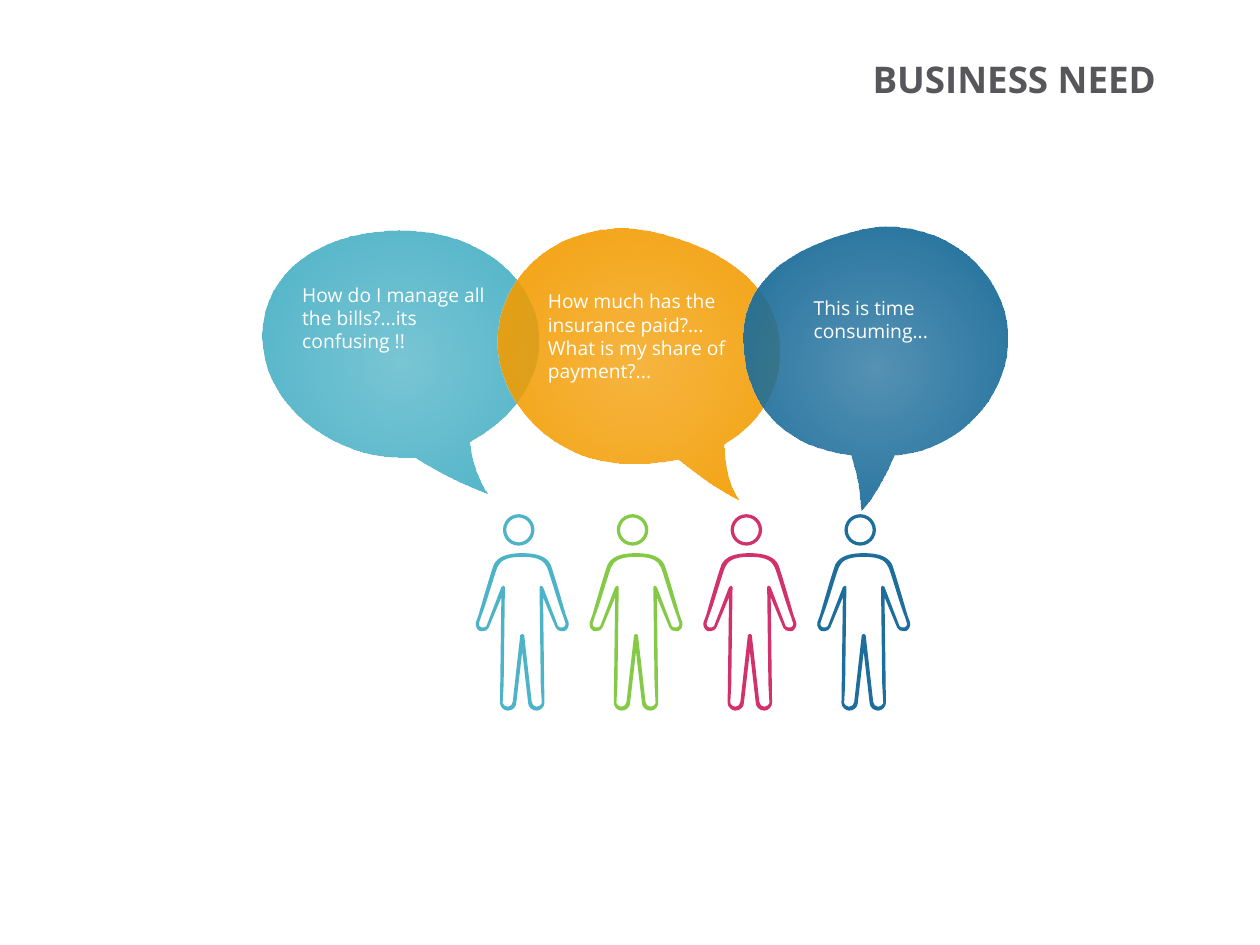
import math
from dataclasses import dataclass

from lxml import etree
from pptx import Presentation
from pptx import util as u
from pptx.dml.color import RGBColor
from pptx.enum import shapes, text
from pptx.oxml import parse_xml
from pptx.oxml.ns import nsdecls, qn


@dataclass(frozen=True)
class Theme:
    """Colours, font and type sizes of the slide."""
    teal: str = "4DB3C7"
    orange: str = "F49D00"
    blue: str = "1D6E9B"
    green: str = "85CA46"
    pink: str = "D2326B"
    white: str = "FFFFFF"
    grey: str = "57565A"
    font: str = "Open Sans"
    quote_size: int = 11
    title_size: int = 21


THEME = Theme()

# Outlines: two numbers are a straight step, six numbers are a Bézier curve.
BUBBLES = [
    dict(
        color=THEME.teal, edge_opacity=100, tilt=9.1, center=(227.2, 200.9),
        quote="How do I manage all the bills?...its confusing !!",
        quote_box=(165.6, 158.4, 128.2, 74.2),
        outline=[
            (267.8, 252.7),
            (288, 241.9, 303.1, 224.6, 306.7, 203.8),
            (312.5, 168.5, 283, 136.1, 237.6, 132.5),
            (195.1, 128.9, 155.5, 148.3, 150.5, 183.6),
            (144.7, 218.9, 174.2, 253.4, 217.4, 260.6),
            (223.9, 261.4, 230.4, 261.4, 236.9, 261.4),
            (247, 267.8, 262.8, 276.5, 278.6, 282.2),
            (272.9, 275, 269.3, 264.2, 267.8, 252.7),
        ],
    ),
    dict(
        color=THEME.orange, edge_opacity=95, tilt=9.8, center=(364.7, 201.2),
        quote="How much has the insurance paid?...\nWhat is my share of payment?...",
        quote_box=(306, 162, 126.7, 79.9),
        outline=[
            (413.3, 253.4),
            (432.7, 241.9, 443.5, 224.6, 445, 205.2),
            (447.1, 173.5, 427, 146.2, 375.8, 133.2),
            (329, 121.7, 290.9, 149, 285.1, 185),
            (278.6, 221, 308.9, 260.6, 353.5, 264.2),
            (365.8, 265, 377.3, 264.2, 387.4, 262.1),
            (398.2, 270.7, 411.8, 280.8, 421.9, 285.1),
            (416.2, 277.2, 413.3, 264.2, 413.3, 253.4),
        ],
    ),
    dict(
        color=THEME.blue, edge_opacity=100, tilt=-8.9, center=(502.6, 207.7),
        quote="This is time consuming...",
        quote_box=(457.9, 165.6, 98.6, 52.6),
        outline=[
            (426.2, 205.9),
            (420.5, 169.9, 437.8, 145.4, 491, 131.8),
            (531.4, 121.7, 569.5, 149, 575.3, 184.3),
            (581, 219.6, 552.2, 257, 511.2, 259.9),
            (506.2, 272.2, 499.7, 283.7, 492.5, 291.6),
            (491.8, 280.8, 490.3, 271.4, 486.7, 259.9),
            (451.4, 255.6, 430.6, 235.4, 426.2, 205.9),
        ],
    ),
]

# Right half of the body, from the legs up to the neck, measured from its axis and top.
BODY_OUTER = [
    (0, 56.2), (3.4, 85.7),
    (3.4, 87.8, 5.5, 90, 8.3, 90), (10.5, 90, 12.7, 87.8, 12.7, 85.6),
    (11.9, 25.2), (19.1, 42.5),
    (19.8, 43.9, 20.9, 44.6, 22.7, 44.6), (24.1, 44.6),
    (25.6, 43.9, 27, 41.8, 26.5, 39.6), (24.9, 35.3),
    (22.7, 27.4, 17.6, 10.1, 16.2, 6.5), (14, 2.2, 9, 0, 0, 0),
]
BODY_INNER = [
    (0, 46.1), (1.1, 46.8), (5.4, 85),
    (5.4, 86.4, 6.8, 87.8, 8.3, 87.8), (9.7, 87.8, 11.2, 86.4, 11.2, 85.7),
    (10.6, 75), (9.9, 19.4),
    (9.9, 18.4, 11.3, 18.2, 11.9, 19.4), (20.5, 41.8),
    (21.2, 42.5, 22, 42.5, 23.2, 42.5), (24.3, 42.5, 25, 41, 24.8, 40.3),
    (23.4, 36),
    (20.5, 28.8, 15.5, 10.8, 14.1, 7.9), (12.6, 5, 10.4, 2.1, 0, 2.1),
]
PEOPLE = [THEME.teal, THEME.green, THEME.pink, THEME.blue]
FIRST_AXIS, PERSON_PITCH, BODY_TOP = 298.4, 65.05, 316.1
HEAD_SIZE, HEAD_TOP, HEAD_SHIFT, HEAD_RING = 18, 293.8, -2, 0.105

TITLE = "BUSINESS NEED"
TITLE_BOX = (461.5, 14.4, 236.2, 64.8)


def pairs(part):
    """Split one step of an outline into its points."""
    return list(zip(part[::2], part[1::2]))


def trace(outline, steps=12):
    """List points along an outline, to measure its extent."""
    points = [outline[0]]
    for part in outline[1:]:
        nodes = [points[-1]] + pairs(part)
        degree = len(nodes) - 1
        for t in (step / steps for step in range(1, steps + 1)):
            weights = [math.comb(degree, k) * t ** k * (1 - t) ** (degree - k)
                       for k in range(degree + 1)]
            points.append(tuple(sum(w * node[axis] for w, node in zip(weights, nodes))
                                for axis in (0, 1)))
    return points


def move(outline, rule):
    """Apply a rule for one point to every point of an outline."""
    return [sum((rule(x, y) for x, y in pairs(part)), ()) for part in outline]


def mirrored(half):
    """Complete a half outline with its mirror image."""
    whole = list(half)
    for previous, part in zip(half[-2::-1], half[:0:-1]):
        back = pairs(part)[-2::-1] + [previous[-2:]]
        whole.append(sum(((-x, y) for x, y in back), ()))
    return whole


def add_freeform(parent, outlines):
    """Add one closed freeform of straight steps and true curves."""
    points = [(u.Pt(x), u.Pt(y)) for outline in outlines for x, y in trace(outline)]
    lows, highs = [tuple(map(limit, zip(*points))) for limit in (min, max)]
    builder = parent.build_freeform(*lows)
    builder.add_line_segments([highs])
    shape = builder.convert_to_shape()
    curve = shape._element.spPr.find(".//" + qn("a:path"))
    for child in list(curve):
        curve.remove(child)
    for outline in outlines:
        for index, part in enumerate(outline):
            tag = "a:moveTo" if index == 0 else "a:lnTo" if len(part) == 2 else "a:cubicBezTo"
            step = etree.SubElement(curve, qn(tag))
            for x, y in pairs(part):
                etree.SubElement(step, qn("a:pt"), x=str(u.Pt(x) - lows[0]),
                                 y=str(u.Pt(y) - lows[1]))
        etree.SubElement(curve, qn("a:close"))
    return shape


def paint(shape, color):
    """Give a shape a plain fill, no line and no shadow."""
    shape.shadow.inherit = False
    shape.line.fill.background()
    shape.fill.solid()
    shape.fill.fore_color.rgb = RGBColor.from_string(color)


def paint_glow(shape, color, edge_opacity):
    """Fill a shape with a radial gradient that is lighter in the middle."""
    paint(shape, color)
    stops = "".join(
        f'<a:gs pos="{position}000"><a:srgbClr val="{color}">'
        f'<a:alpha val="{opacity}000"/></a:srgbClr></a:gs>'
        for position, opacity in ((0, 75), (100, edge_opacity)))
    gradient = parse_xml(
        f'<a:gradFill {nsdecls("a")} rotWithShape="1"><a:gsLst>{stops}</a:gsLst>'
        '<a:path path="circle"><a:fillToRect l="50000" t="50000" r="50000" b="50000"/>'
        '</a:path></a:gradFill>')
    properties = shape._element.spPr
    properties.replace(properties.find(qn("a:solidFill")), gradient)


def add_text(slide, words, box, size, color, bold=False):
    """Add a wrapping text box and return its text frame."""
    frame = slide.shapes.add_textbox(*map(u.Pt, box)).text_frame
    frame.word_wrap = True
    frame.text = words
    for paragraph in frame.paragraphs:
        for run in paragraph.runs:
            run.font.name, run.font.size, run.font.bold = THEME.font, u.Pt(size), bold
            run.font.color.rgb = RGBColor.from_string(color)
    return frame


def add_bubble(slide, bubble):
    """Add a tilted speech bubble, drawn upright and then rotated."""
    cx, cy = bubble["center"]
    angle = math.radians(-bubble["tilt"])
    cos, sin = math.cos(angle), math.sin(angle)
    upright = move(bubble["outline"], lambda x, y: (
        cx + (x - cx) * cos - (y - cy) * sin, cy + (x - cx) * sin + (y - cy) * cos))
    shape = add_freeform(slide.shapes, [upright])
    shape.rotation = bubble["tilt"]
    paint_glow(shape, bubble["color"], bubble["edge_opacity"])


def add_person(slide, axis, color):
    """Add a grouped outline figure centred on a vertical axis."""
    group = slide.shapes.add_group_shape()
    head = group.shapes.add_shape(
        shapes.MSO_SHAPE.DONUT, u.Pt(axis + HEAD_SHIFT - HEAD_SIZE / 2), u.Pt(HEAD_TOP),
        u.Pt(HEAD_SIZE), u.Pt(HEAD_SIZE))
    head.adjustments[0] = HEAD_RING
    body = add_freeform(group.shapes, [
        move(mirrored(half), lambda x, y: (axis + x, BODY_TOP + y))
        for half in (BODY_OUTER, BODY_INNER)])
    for shape in (head, body):
        paint(shape, color)


presentation = Presentation()
presentation.slide_width, presentation.slide_height = u.Pt(720), u.Pt(540)
slide = presentation.slides.add_slide(presentation.slide_layouts[6])

for bubble in BUBBLES:
    add_bubble(slide, bubble)
for bubble in BUBBLES:
    add_text(slide, bubble["quote"], bubble["quote_box"], THEME.quote_size, THEME.white)
for index, color in enumerate(PEOPLE):
    add_person(slide, FIRST_AXIS + index * PERSON_PITCH, color)

title = add_text(slide, TITLE, TITLE_BOX, THEME.title_size, THEME.grey, bold=True)
title.vertical_anchor = text.MSO_ANCHOR.MIDDLE
title.margin_top = title.margin_bottom = u.Pt(7.2)
title.paragraphs[0].alignment = text.PP_ALIGN.CENTER
title.paragraphs[0].line_spacing = 0.86

presentation.save("out.pptx")
